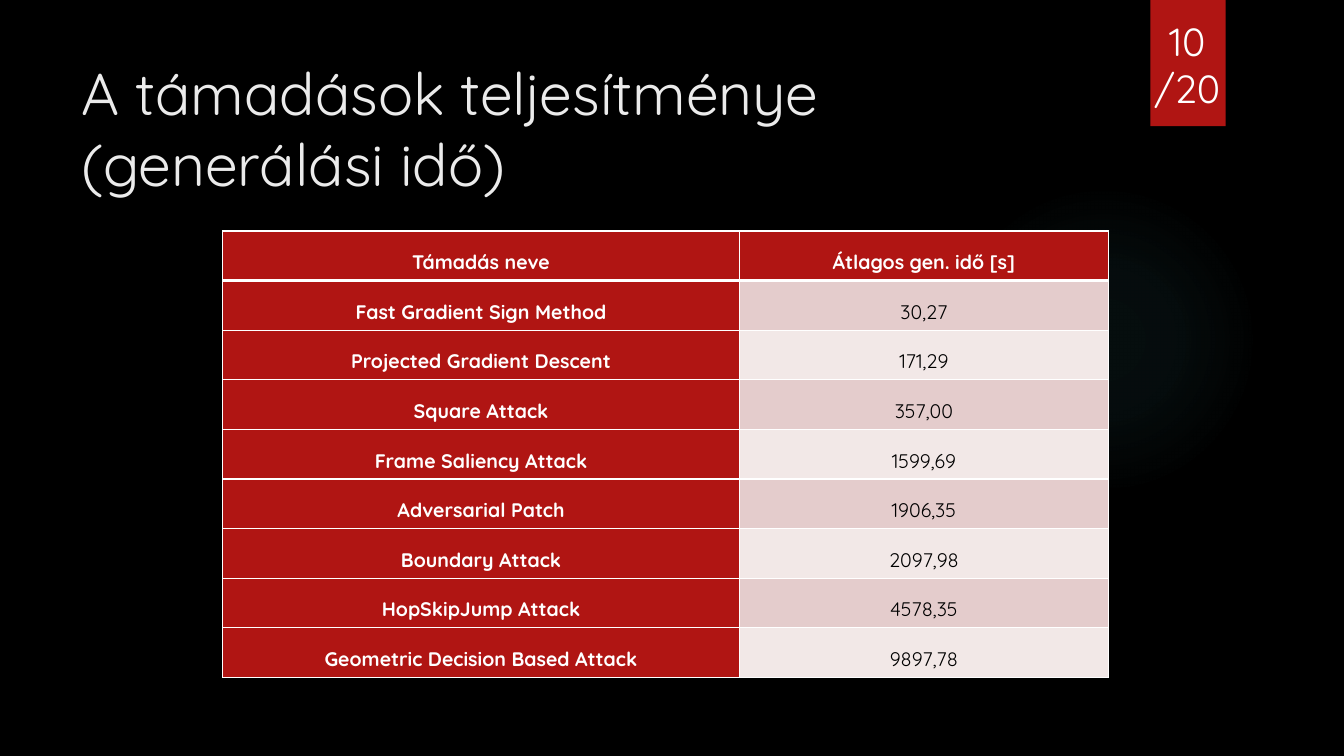
from lxml import etree
from pptx import Presentation
from pptx.dml.color import RGBColor
from pptx.enum.shapes import MSO_SHAPE as Preset
from pptx.enum.text import MSO_ANCHOR as Anchor, PP_ALIGN as Align
from pptx.oxml import parse_xml
from pptx.oxml.ns import nsdecls, qn
from pptx.util import Cm, Pt

FONT = "Quicksand"
RED = "B01513"
WHITE = "FFFFFF"
BLACK = "000000"
BANDS = ("E4CCCC", "F2E8E7")
HEADER = ("Támadás neve", "Átlagos gen. idő [s]")
ATTACKS = (
    ("Fast Gradient Sign Method", "30,27"),
    ("Projected Gradient Descent", "171,29"),
    ("Square Attack", "357,00"),
    ("Frame Saliency Attack", "1599,69"),
    ("Adversarial Patch", "1906,35"),
    ("Boundary Attack", "2097,98"),
    ("HopSkipJump Attack", "4578,35"),
    ("Geometric Decision Based Attack", "9897,78"),
)


def paint(fill, color):
    fill.solid()
    fill.fore_color.rgb = RGBColor.from_string(color)


def style_paragraph(paragraph, size, color, align=Align.LEFT, bold=False):
    paragraph.alignment = align
    font = paragraph.font
    font.name, font.size, font.bold = FONT, Pt(size), bold
    font.color.rgb = RGBColor.from_string(color)


def add_preset(slide, preset, left, top, width, height):
    shape = slide.shapes.add_shape(preset, Cm(left), Cm(top), Cm(width), Cm(height))
    shape.shadow.inherit = False
    shape.line.fill.background()
    return shape


def add_glow(slide, color, left, top, diameter):
    """Add a circle whose faint colour fades out towards the rim."""
    shape = add_preset(slide, Preset.OVAL, left, top, diameter, diameter)
    stops = "".join(
        f'<a:gs pos="{position}000"><a:srgbClr val="{color}">'
        f'<a:alpha val="{alpha}000"/></a:srgbClr></a:gs>'
        for position, alpha in ((0, 7), (36, 6), (69, 0))
    )
    gradient = parse_xml(
        f'<a:gradFill {nsdecls("a")}><a:gsLst>{stops}</a:gsLst><a:path path="circle">'
        '<a:fillToRect l="50000" t="50000" r="50000" b="50000"/></a:path></a:gradFill>'
    )
    shape.element.spPr.find(qn("a:prstGeom")).addnext(gradient)


def add_text(slide, lines, left, top, width, height, size, color, align, anchor):
    box = slide.shapes.add_textbox(Cm(left), Cm(top), Cm(width), Cm(height))
    frame = box.text_frame
    frame.word_wrap = True
    frame.vertical_anchor = anchor
    frame.text = "\n".join(lines)
    for paragraph in frame.paragraphs:
        style_paragraph(paragraph, size, color, align)


def set_borders(cell, widths):
    """Draw white borders; widths are points for left, right, top and bottom."""
    properties = cell._tc.get_or_add_tcPr()
    for side, width in zip("LRTB", widths):
        line = etree.SubElement(properties, qn(f"a:ln{side}"), w=str(Pt(width)))
        fill = etree.SubElement(line, qn("a:solidFill"))
        etree.SubElement(fill, qn("a:srgbClr"), val=WHITE)


def fill_cell(cell, text, row, column):
    is_label = row == 0 or column == 0
    set_borders(cell, (1, 1, 3 if row == 1 else 1, 3 if row == 0 else 1))
    paint(cell.fill, RED if is_label else BANDS[(row - 1) % 2])
    cell.margin_left = cell.margin_right = Cm(0.13)
    cell.margin_top, cell.margin_bottom = Cm(0.02), Cm(0)
    cell.vertical_anchor = Anchor.MIDDLE
    cell.text = text
    paragraph = cell.text_frame.paragraphs[0]
    paragraph.line_spacing = 1.5
    style_paragraph(paragraph, 14, WHITE if is_label else BLACK, Align.CENTER, is_label)


def add_times_table(slide, left, top, column_widths, row_height):
    rows = (HEADER, *ATTACKS)
    table = slide.shapes.add_table(
        len(rows), len(HEADER), Cm(left), Cm(top),
        Cm(sum(column_widths)), Cm(row_height * len(rows)),
    ).table
    for column, width in zip(table.columns, column_widths):
        column.width = Cm(width)
    for row, texts in enumerate(rows):
        table.rows[row].height = Cm(row_height)
        for column, text in enumerate(texts):
            fill_cell(table.cell(row, column), text, row, column)


def main():
    presentation = Presentation()
    presentation.slide_width, presentation.slide_height = Cm(33.87), Cm(19.05)
    slide = presentation.slides.add_slide(presentation.slide_layouts[6])
    paint(slide.background.fill, BLACK)

    add_glow(slide, "50B9C1", 23.9, 4.65, 7.82)
    page_tab = add_preset(slide, Preset.RECTANGLE, 28.99, 0, 1.9, 3.18)
    paint(page_tab.fill, RED)
    add_text(slide, ["A támadások teljesítménye (generálási idő)"],
             1.8, 1.27, 26.14, 3.89, 42, "EBEBEB", Align.LEFT, Anchor.MIDDLE)
    add_text(slide, ["10", "/20"],
             28.75, 0.81, 2.34, 2.13, 28, WHITE, Align.CENTER, Anchor.BOTTOM)
    add_times_table(slide, 5.61, 5.82, (13.03, 9.29), 1.25)

    presentation.save("out.pptx")


if __name__ == "__main__":
    main()
